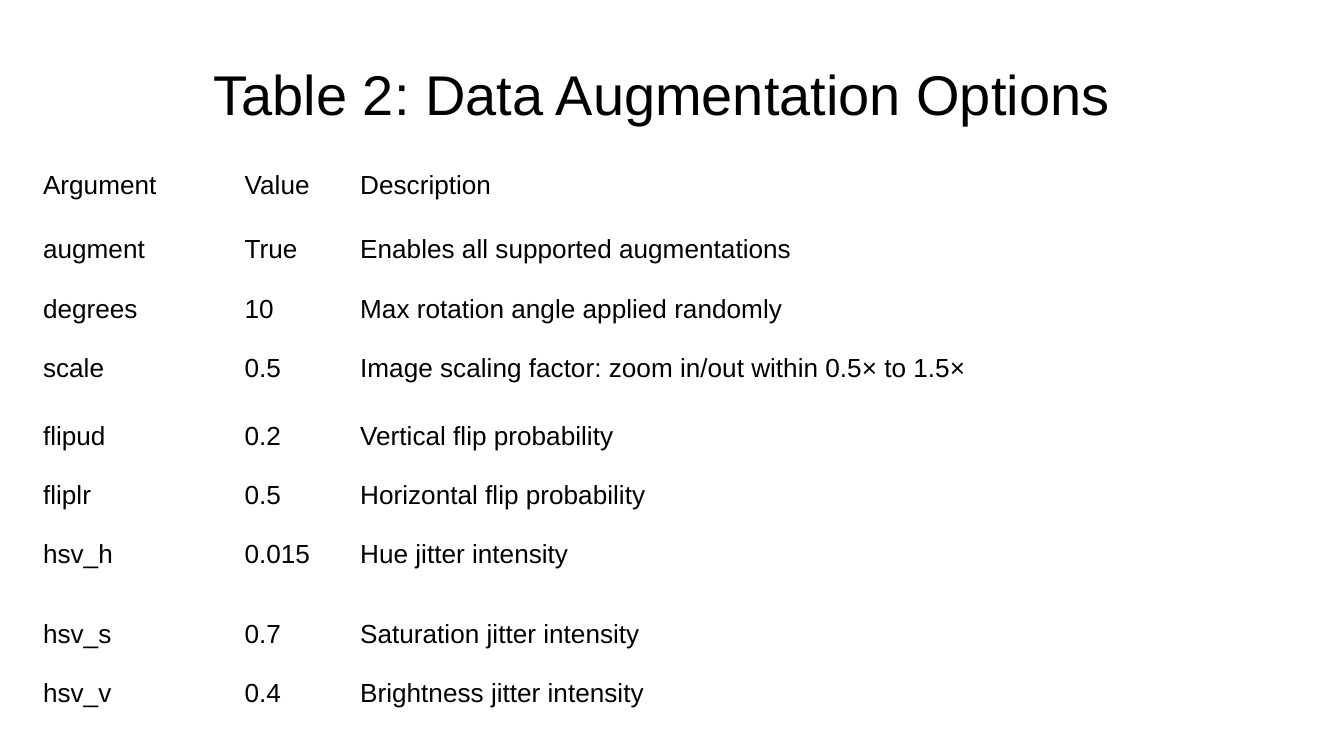
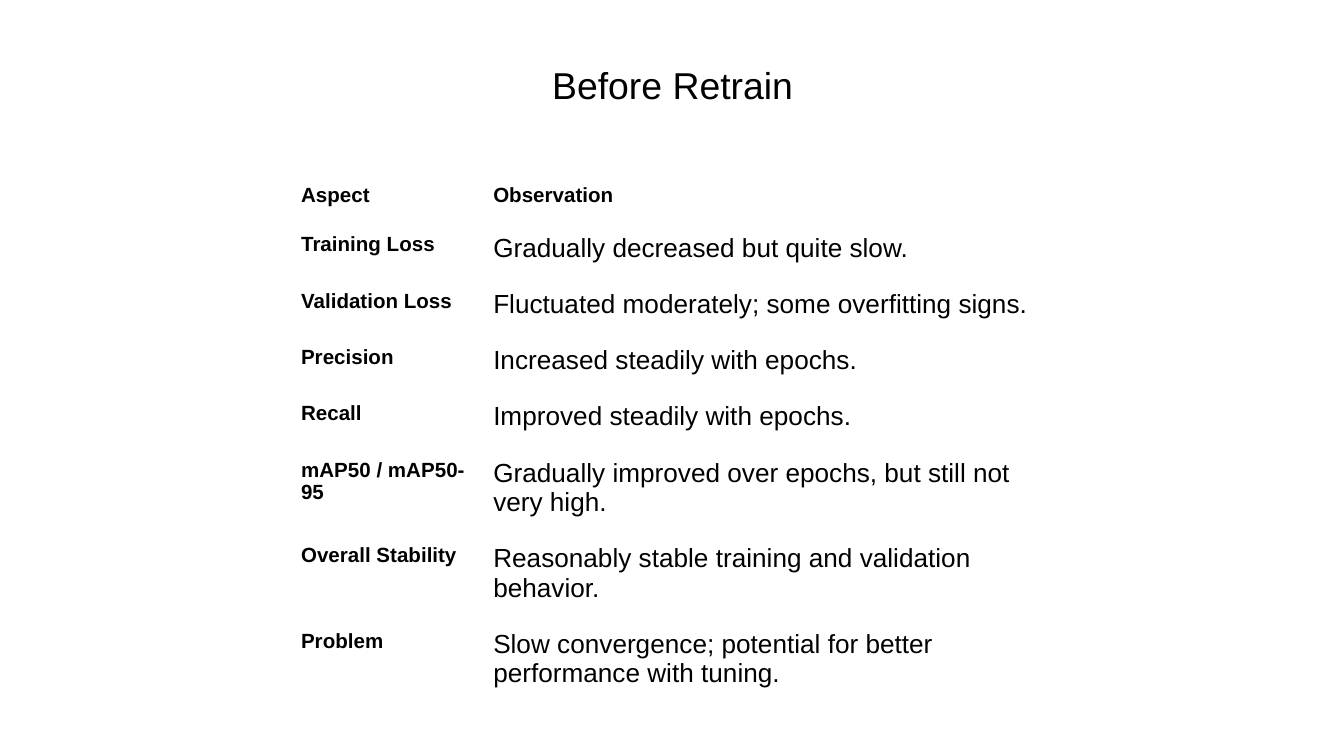
from pptx import Presentation
from pptx.dml.color import RGBColor
from pptx.enum.text import MSO_ANCHOR as Anchor, MSO_AUTO_SIZE as Fit, PP_ALIGN as Align
from pptx.util import Inches, Pt

BLACK = RGBColor(0x00, 0x00, 0x00)
WHITE = RGBColor(0xFF, 0xFF, 0xFF)
FONT = "Arial"
PAD = Inches(0.1)
FRAME = Inches(3.28)
WIDE = Inches(10)

OPTIONS = [
    ("Argument", "Value", "Description"),
    ("augment", "True", "Enables all supported augmentations"),
    ("degrees", "10", "Max rotation angle applied randomly"),
    ("scale", "0.5", "Image scaling factor: zoom in/out within 0.5× to 1.5×"),
    ("flipud", "0.2", "Vertical flip probability"),
    ("fliplr", "0.5", "Horizontal flip probability"),
    ("hsv_h", "0.015", "Hue jitter intensity"),
    ("hsv_s", "0.7", "Saturation jitter intensity"),
    ("hsv_v", "0.4", "Brightness jitter intensity"),
]

ASPECTS = [
    ("Aspect", "Observation"),
    ("Training Loss", "Gradually decreased but quite slow."),
    ("Validation Loss", "Fluctuated moderately; some overfitting signs."),
    ("Precision", "Increased steadily with epochs."),
    ("Recall", "Improved steadily with epochs."),
    ("mAP50 / mAP50-95", "Gradually improved over epochs, but still not very high."),
    ("Overall Stability", "Reasonably stable training and validation behavior."),
    ("Problem", "Slow convergence; potential for better performance with tuning."),
]


def set_font(para, size, bold=False):
    font = para.font
    font.name, font.size, font.bold = FONT, Pt(size), bold
    font.color.rgb = BLACK


def set_pad(box):
    box.margin_left = box.margin_right = PAD
    box.margin_top = box.margin_bottom = PAD


# White slide with a centred title in the given box
def add_page(deck, text, box, size):
    page = deck.slides.add_slide(deck.slide_layouts[5])
    page.background.fill.solid()
    page.background.fill.fore_color.rgb = WHITE
    title = page.shapes.title
    title.left, title.top, title.width, title.height = map(Inches, box)
    frame = title.text_frame
    frame.text = text
    frame.auto_size = Fit.NONE
    frame.word_wrap = True
    frame.vertical_anchor = Anchor.MIDDLE
    set_pad(frame)
    para = frame.paragraphs[0]
    para.alignment = Align.CENTER
    set_font(para, size)
    return page


# Plain table; style(row, col) gives size, bold and line spacing
def add_grid(page, data, left, top, widths, heights, style):
    frame = page.shapes.add_table(len(data), len(widths), Inches(left),
                                  Inches(top), FRAME, FRAME)
    table = frame.table
    table.first_row = table.horz_banding = False
    for col, width in zip(table.columns, widths):
        col.width = Inches(width)
    for row, height in zip(table.rows, heights):
        row.height = Inches(height)
    frame.width = frame.height = FRAME
    for r, line in enumerate(data):
        for c, text in enumerate(line):
            cell = table.cell(r, c)
            cell.fill.background()
            cell.text = text
            set_pad(cell)
            size, bold, space = style(r, c)
            para = cell.text_frame.paragraphs[0]
            para.line_spacing = space
            set_font(para, size, bold)


def option_style(row, col):
    return 14, False, None


def aspect_style(row, col):
    if row == 0:
        return 11, True, 1.15
    return (11, True, None) if col == 0 else (14, False, None)


def main():
    # Widescreen, 16 to 9
    deck = Presentation()
    deck.slide_width, deck.slide_height = WIDE, WIDE * 9 // 16

    # Augmentation options
    page = add_page(deck, "Table 2: Data Augmentation Options",
                    (0.39, 0.23, 9.07, 0.93), 30)
    tall = {0: 0.48, 3: 0.51, 6: 0.59}
    heights = [tall.get(r, 0.44) for r in range(len(OPTIONS))]
    add_grid(page, OPTIONS, 0.22, 1.17, (1.5, 0.86, 7.21), heights, option_style)

    # Observations before retraining
    page = add_page(deck, "Before Retrain", (0.49, 0.29, 9.03, 0.68), 20)
    add_grid(page, ASPECTS, 2.14, 1.24, (1.43, 4.3), [0.21] * len(ASPECTS),
             aspect_style)

    deck.save("out.pptx")


if __name__ == "__main__":
    main()
